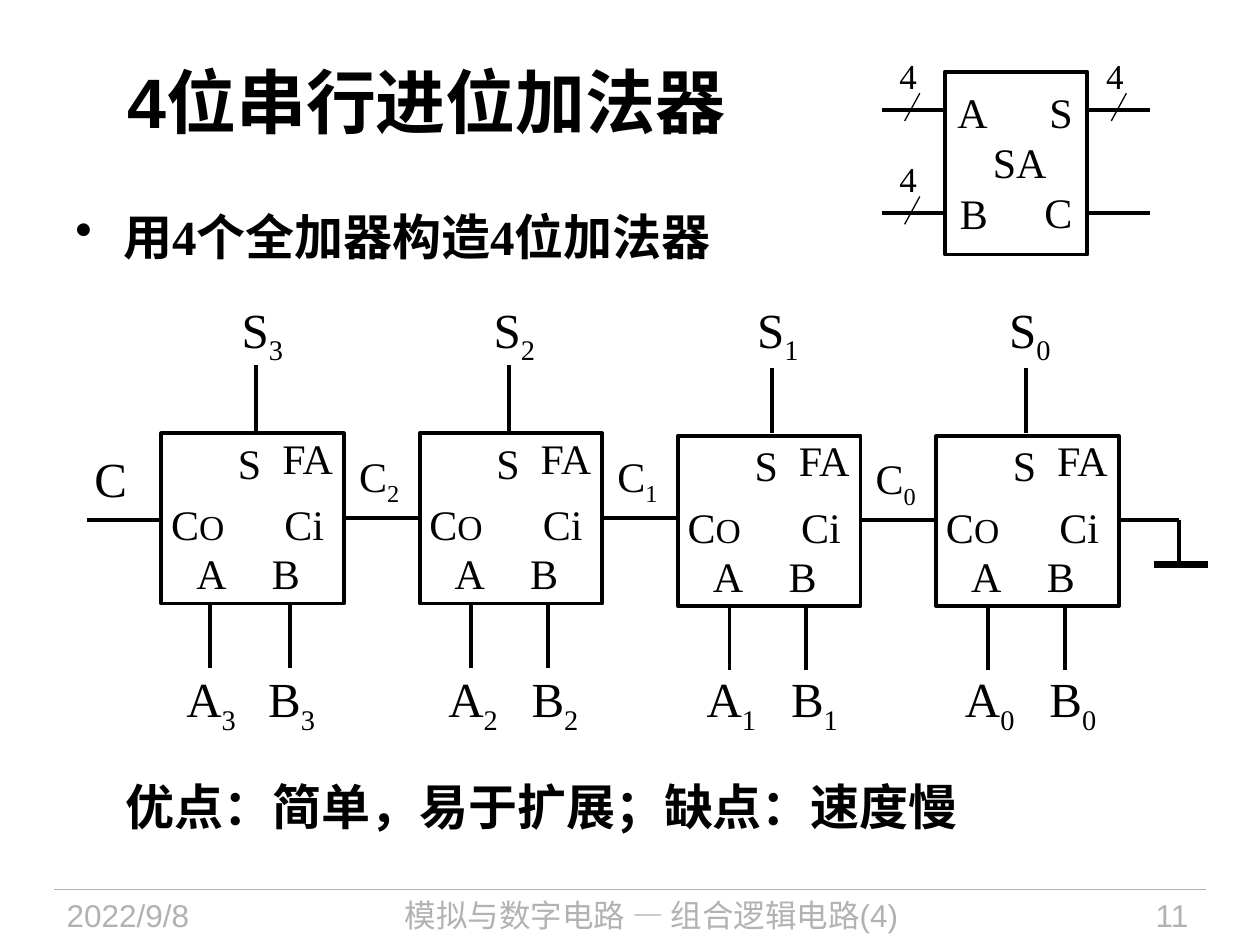
from dataclasses import dataclass

from lxml.etree import SubElement
from pptx import Presentation
from pptx.dml.color import RGBColor
from pptx.enum.shapes import MSO_CONNECTOR, MSO_SHAPE
from pptx.enum.text import MSO_ANCHOR, MSO_AUTO_SIZE, PP_ALIGN
from pptx.oxml.ns import qn
from pptx.util import Inches, Pt

BLACK, GRAY = "000000", "B2B2B2"
SANS, SERIF = "Arial", "Times New Roman"
CELL_W, CELL_H, PITCH = 1.45, 1.35, 2.05
FIRST_CELL_X, WIRE_DY, STUB = 1.28, 0.67, 0.52


@dataclass
class Run:
    text: str
    size: float
    subscript: bool = False


@dataclass
class Label:
    """Text with its offset from a block's corner and its box size."""
    runs: list[Run]
    x: float
    y: float
    w: float
    h: float = 0.5
    tight: bool = False


@dataclass
class Stage:
    """One full adder; x values are offsets from the left of its cell."""
    bit: int
    top: float
    s_wire: float
    s_label: float
    a_wire: float
    a_label: float
    b_label: float


STAGES = [
    Stage(3, 3.44, 0.75, 0.54, 0.39, 0.10, 0.75),
    Stage(2, 3.44, 0.71, 0.49, 0.41, 0.13, 0.79),
    Stage(1, 3.46, 0.75, 0.53, 0.41, 0.13, 0.80),
    Stage(0, 3.46, 0.71, 0.48, 0.41, 0.13, 0.80),
]
B_WIRE = 1.02

FULL_ADDER_PINS = [
    Label([Run("A", 24)], 0.18, 0.86, 0.44),
    Label([Run("B", 24)], 0.78, 0.86, 0.42),
    Label([Run("S", 24)], 0.51, -0.02, 0.39),
    Label([Run("Ci", 24)], 0.88, 0.47, 0.53),
    Label([Run("FA", 24)], 0.96, -0.01, 0.41, 0.4, tight=True),
    Label([Run("C", 24), Run("O", 20)], -0.02, 0.47, 0.63),
]
SYMBOL_X, SYMBOL_Y, SYMBOL_W, SYMBOL_H = 7.5, 0.57, 1.13, 1.45
SYMBOL_PINS = [
    Label([Run("A", 24)], 0, 0.07, 0.44),
    Label([Run("B", 24)], 0.02, 0.87, 0.42),
    Label([Run("S", 24)], 0.73, 0.07, 0.39),
    Label([Run("C", 24)], 0.69, 0.86, 0.43),
    Label([Run("SA", 24)], 0.38, 0.51, 0.43, 0.4, tight=True),
]

prs = Presentation()
prs.slide_width, prs.slide_height = Inches(10), Inches(7.5)
s = prs.slides.add_slide(prs.slide_layouts[6])


def rgb(color: str) -> RGBColor:
    return RGBColor.from_string(color)


def line(x1: float, y1: float, x2: float, y2: float,
         width: float = 2.25, color: str = BLACK) -> None:
    sp = s.shapes.add_connector(MSO_CONNECTOR.STRAIGHT, Inches(x1), Inches(y1),
                                Inches(x2), Inches(y2))
    sp.line.width = Pt(width)
    sp.line.color.rgb = rgb(color)
    SubElement(sp._element.spPr, qn("a:effectLst"))


def block(x: float, y: float, w: float, h: float) -> None:
    sp = s.shapes.add_shape(MSO_SHAPE.RECTANGLE, Inches(x), Inches(y),
                            Inches(w), Inches(h))
    sp.shadow.inherit = False
    sp.fill.background()
    sp.line.color.rgb = rgb(BLACK)
    sp.line.width = Pt(2.25)


def add_run(p, run: Run, font: str, color: str, bold: bool) -> None:
    r = p.add_run()
    r.text = run.text
    r.font.name, r.font.size, r.font.bold = font, Pt(run.size), bold
    r.font.color.rgb = rgb(color)
    if run.subscript:
        r._r.get_or_add_rPr().set("baseline", "-25000")


def text_box(x: float, y: float, w: float, h: float, text: str, size: float,
             font: str = SANS, color: str = BLACK, bold: bool = True,
             align: PP_ALIGN = PP_ALIGN.LEFT,
             anchor: MSO_ANCHOR = MSO_ANCHOR.TOP):
    """Add a wrapping one-paragraph text box and return the paragraph."""
    sp = s.shapes.add_textbox(Inches(x), Inches(y), Inches(w), Inches(h))
    tf = sp.text_frame
    tf.word_wrap, tf.vertical_anchor = True, anchor
    p = tf.paragraphs[0]
    p.alignment = align
    add_run(p, Run(text, size), font, color, bold)
    return p


def draw_label(label: Label, x: float = 0, y: float = 0) -> None:
    sp = s.shapes.add_textbox(Inches(x + label.x), Inches(y + label.y),
                              Inches(label.w), Inches(label.h))
    tf = sp.text_frame
    tf.word_wrap, tf.auto_size = False, MSO_AUTO_SIZE.SHAPE_TO_FIT_TEXT
    if label.tight:
        tf.margin_left = tf.margin_right = tf.margin_top = tf.margin_bottom = 0
        tf.vertical_anchor = MSO_ANCHOR.MIDDLE
    for run in label.runs:
        add_run(tf.paragraphs[0], run, SERIF, BLACK, False)


def indexed(name: str, index: int, size: float) -> list[Run]:
    return [Run(name, size), Run(str(index), size, subscript=True)]


def draw_stage(stage: Stage, x: float) -> None:
    top, bottom = stage.top, stage.top + CELL_H
    block(x, top, CELL_W, CELL_H)
    for pin in FULL_ADDER_PINS:
        draw_label(pin, x, top)
    line(x + stage.s_wire, top - 0.54, x + stage.s_wire, top - 0.02)
    for wire in (stage.a_wire, B_WIRE):
        line(x + wire, bottom - 0.01, x + wire, bottom - 0.01 + STUB)
    for name, dx, y, w in (("S", stage.s_label, 2.33, 0.55),
                           ("A", stage.a_label, 5.26, 0.61),
                           ("B", stage.b_label, 5.26, 0.59)):
        draw_label(Label(indexed(name, stage.bit, 28), x + dx, y, w, 0.57))
    if stage.bit:
        wire_y = top + WIRE_DY
        line(x + CELL_W + 0.01, wire_y, x + PITCH - 0.01, wire_y)
        draw_label(Label(indexed("C", stage.bit - 1, 24), x + 1.57, top + 0.16,
                         0.34, 0.4, tight=True))


def draw_symbol() -> None:
    right = SYMBOL_X + SYMBOL_W
    block(SYMBOL_X, SYMBOL_Y, SYMBOL_W, SYMBOL_H)
    for y in (0.87, 1.69):
        line(SYMBOL_X - 0.5, y, SYMBOL_X, y)
        line(right, y, right + 0.5, y)
    for pin in SYMBOL_PINS:
        draw_label(pin, SYMBOL_X, SYMBOL_Y)
    for x, y in ((7.24, 0.87), (7.24, 1.69), (8.88, 0.87)):
        line(x + 0.06, y - 0.13, x - 0.06, y + 0.09, 0.75)
        draw_label(Label([Run("4", 20)], x - 0.2, y - 0.49, 0.34, 0.44))


def draw_footer() -> None:
    line(0.43, 7.06, 9.57, 7.06, 0.75, GRAY)
    for x, w, text, align in (
            (0.43, 1.88, "2022/9/8", PP_ALIGN.LEFT),
            (2.49, 5.36, "模拟与数字电路 — 组合逻辑电路(4)", PP_ALIGN.CENTER),
            (8.2, 1.33, "11", PP_ALIGN.RIGHT)):
        text_box(x, 7.06, w, 0.44, text, 18, color=GRAY, bold=False, align=align)


draw_footer()
text_box(0.5, 0.17, 5.77, 1.25, "4位串行进位加法器", 40,
         align=PP_ALIGN.CENTER, anchor=MSO_ANCHOR.MIDDLE)
bullet = text_box(0.5, 1.59, 9, 0.78, "用4个全加器构造4位加法器", 28, SERIF)
pPr = bullet._p.get_or_add_pPr()
pPr.set("marL", str(Inches(0.38)))
pPr.set("indent", str(Inches(-0.38)))
SubElement(pPr, qn("a:buChar")).set("char", "•")

for i, stage in enumerate(STAGES):
    draw_stage(stage, FIRST_CELL_X + i * PITCH)

# Carry out on the left, grounded carry in on the right
line(0.69, 4.13, 1.27, 4.13)
draw_label(Label([Run("C", 28)], 0.75, 3.56, 0.26, 0.47, tight=True))
line(8.89, 4.13, 9.36, 4.13)
line(9.36, 4.13, 9.36, 4.48)
line(9.16, 4.48, 9.59, 4.48, 4.5)

text_box(0.9, 6.11, 7.72, 0.57, "优点：简单，易于扩展；缺点：速度慢", 28)
draw_symbol()
prs.save("out.pptx")
